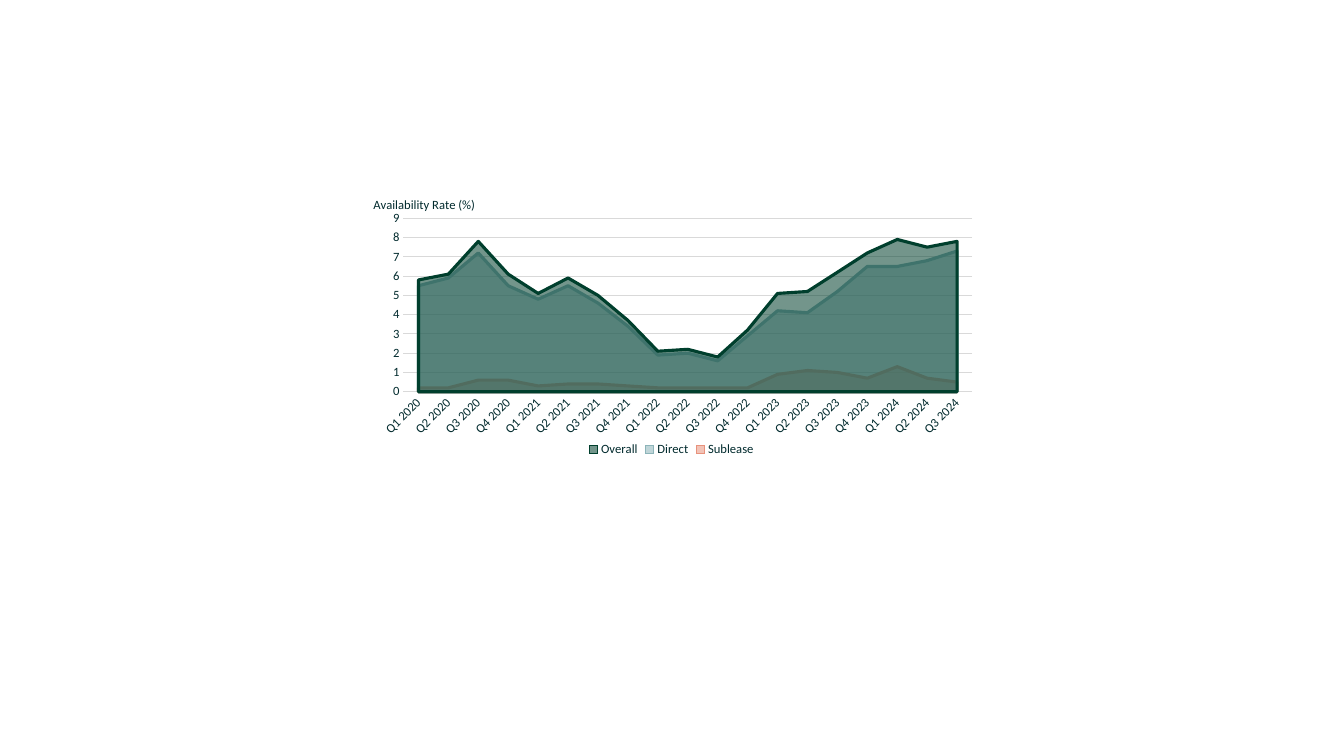
import pptx
import pptx.chart.data
import pptx.dml.color
import pptx.enum.chart
import pptx.oxml
import pptx.oxml.ns
import pptx.util
from pptx.util import Cm

# Content
FIRST_YEAR = 2020
AXIS_TITLE = "Availability Rate (%)"
RATES = {
    "Overall": [5.8, 6.1, 7.8, 6.1, 5.1, 5.9, 5, 3.7, 2.1, 2.2,
                1.8, 3.2, 5.1, 5.2, 6.2, 7.2, 7.9, 7.5, 7.8],
    "Direct": [5.5, 5.9, 7.2, 5.5, 4.8, 5.5, 4.6, 3.4, 1.9, 2,
               1.6, 2.9, 4.2, 4.1, 5.2, 6.5, 6.5, 6.8, 7.3],
    "Sublease": [0.2, 0.2, 0.6, 0.6, 0.3, 0.4, 0.4, 0.3, 0.2, 0.2,
                 0.2, 0.2, 0.9, 1.1, 1, 0.7, 1.3, 0.7, 0.5],
}
QUARTERS = [f"Q{i % 4 + 1} {FIRST_YEAR + i // 4}"
            for i in range(len(RATES["Overall"]))]

THEME = {
    "font": "Calibri", "size": 9, "text": "012A2D", "grid": "D9D9D9",
    "grid_width": 0.75, "line_width": 2.25, "opacity": 55,
    "Overall": "003F2D", "Direct": "8CB4B9", "Sublease": "E8927C",
}


def color(name):
    return pptx.dml.color.RGBColor.from_string(THEME[name])


def style_font(font):
    font.name = THEME["font"]
    font.size = pptx.util.Pt(THEME["size"])
    font.bold = False
    font.color.rgb = color("text")


def style_line(line, name, width):
    line.color.rgb = color(name)
    line.width = pptx.util.Pt(THEME[width])


def set_layout(parent, index, **places):
    """Give a chart part a manual layout in fractions of the chart."""
    for old in parent.findall(pptx.oxml.ns.qn("c:layout")):
        parent.remove(old)
    target = '<c:layoutTarget val="inner"/>' if "w" in places else ""
    modes = "".join(f'<c:{key}Mode val="edge"/>' for key in "xy")
    values = "".join(f'<c:{key} val="{value}"/>' for key, value in places.items())
    parent.insert(index, pptx.oxml.parse_xml(
        f'<c:layout {pptx.oxml.ns.nsdecls("c")}><c:manualLayout>'
        f'{target}{modes}{values}</c:manualLayout></c:layout>'))


# Page
deck = pptx.Presentation()
deck.slide_width, deck.slide_height = Cm(33.87), Cm(19.05)
page = deck.slides.add_slide(deck.slide_layouts[6])

# Chart
rate_data = pptx.chart.data.CategoryChartData()
rate_data.categories = QUARTERS
for name, values in RATES.items():
    rate_data.add_series(name, values)
chart = page.shapes.add_chart(
    pptx.enum.chart.XL_CHART_TYPE.AREA,
    Cm(9.35), Cm(4.83), Cm(15.16), Cm(6.78), rate_data).chart
chart.has_title = False
style_font(chart.font)
plot_area = chart.plots[0]._element.getparent()
set_layout(plot_area, 0, x=0.054, y=0.099, w=0.946, h=0.645)

# Series
for series in chart.plots[0].series:
    fill = series.format.fill
    fill.solid()
    fill.fore_color.rgb = color(series.name)
    shade = series._element.find(".//" + pptx.oxml.ns.qn("a:srgbClr"))
    shade.append(pptx.oxml.parse_xml(
        f'<a:alpha {pptx.oxml.ns.nsdecls("a")} val="{THEME["opacity"] * 1000}"/>'))
    style_line(series.format.line, series.name, "line_width")

# Axes
quarter_axis, rate_axis = chart.category_axis, chart.value_axis
for axis in (quarter_axis, rate_axis):
    axis.major_tick_mark = pptx.enum.chart.XL_TICK_MARK.NONE
    axis.minor_tick_mark = pptx.enum.chart.XL_TICK_MARK.NONE
    style_font(axis.tick_labels.font)
quarter_axis.has_major_gridlines = False
style_line(quarter_axis.format.line, "grid", "grid_width")
label_body = quarter_axis._element.find(".//" + pptx.oxml.ns.qn("a:bodyPr"))
label_body.set("rot", str(-45 * 60000))
label_body.set("vert", "horz")

rate_axis.minimum_scale, rate_axis.maximum_scale = 0, 9
rate_axis.major_unit = 1
rate_axis.has_major_gridlines = True
style_line(rate_axis.major_gridlines.format.line, "grid", "grid_width")
rate_axis.format.line.fill.background()
rate_axis.tick_labels.number_format = "General"
rate_axis.tick_labels.number_format_is_linked = False
rate_axis._element.find(pptx.oxml.ns.qn("c:crossBetween")).set("val", "between")

# Axis title, level above the plot
title = rate_axis.axis_title
title.text_frame.text = AXIS_TITLE
style_font(title.text_frame.paragraphs[0].runs[0].font)
title_body = title._element.find(".//" + pptx.oxml.ns.qn("a:bodyPr"))
title_body.set("rot", "0")
title_body.set("vert", "horz")
set_layout(title._element, 1, x=0.0, y=0.01)

# Legend
chart.has_legend = True
chart.legend.position = pptx.enum.chart.XL_LEGEND_POSITION.BOTTOM
chart.legend.include_in_layout = False
style_font(chart.legend.font)

deck.save("out.pptx")
